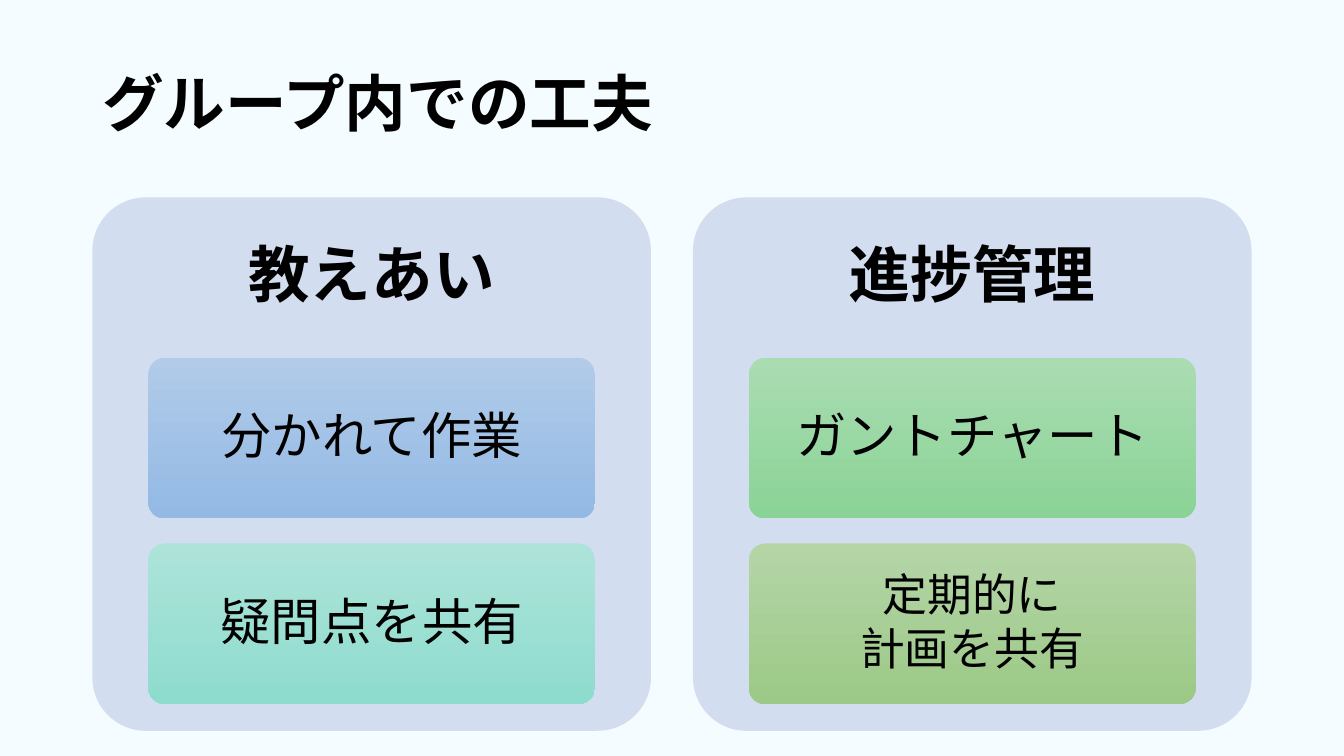
from lxml.etree import SubElement
from pptx import Presentation
from pptx.dml.color import RGBColor
from pptx.enum.shapes import MSO_SHAPE
from pptx.enum.text import MSO_ANCHOR, PP_ALIGN
from pptx.oxml.ns import qn
from pptx.util import Pt

TITLE = "グループ内での工夫"
PANELS = [
    ("教えあい", [
        {"lines": ["分かれて作業"], "size": "card", "gradient": ("B1CBE9", "93B9E4")},
        {"lines": ["疑問点を共有"], "size": "card", "gradient": ("ADE3D9", "8EDCCE")},
    ]),
    ("進捗管理", [
        {"lines": ["ガントチャート"], "size": "card", "gradient": ("AADCB2", "8AD396")},
        {"lines": ["定期的に", "計画を共有"], "size": "small", "gradient": ("B5D5A7", "9CC987")},
    ]),
]

THEME = {
    "background": "F5FCFF", "panel": "D2DEEF", "text": "000000",
    "latin": "Arial", "japanese": "Noto Sans CJK JP",
    "heading": 44, "card": 36, "small": 32,
}

SLIDE_WIDTH, SLIDE_HEIGHT = 960, 540
MARGIN, TITLE_TOP, TITLE_HEIGHT = 66, 24, 104.4
PANEL_TOP, PANEL_WIDTH, PANEL_HEIGHT, PANEL_GAP = 141, 399, 381, 30
HEADING_HEIGHT = 114.6
CARD_INSET, CARD_HEIGHT, CARD_GAP = 40, 114.6, 18
CORNER = 0.1


def color(name):
    return RGBColor.from_string(name)


def write(shape, lines, size, font_name, bold=False, alignment=PP_ALIGN.CENTER):
    frame = shape.text_frame
    frame.word_wrap = True
    frame.vertical_anchor = MSO_ANCHOR.MIDDLE
    for index, line in enumerate(lines):
        paragraph = frame.paragraphs[0] if index == 0 else frame.add_paragraph()
        paragraph_format = {"alignment": alignment, "line_spacing": 0.9, "space_after": Pt(4)}
        for key, value in paragraph_format.items():
            setattr(paragraph, key, value)
        run = paragraph.add_run()
        run.text = line
        for key, value in {"size": Pt(size), "bold": bold, "name": font_name}.items():
            setattr(run.font, key, value)
        run.font.color.rgb = color(THEME["text"])
        east_asian = SubElement(run.font._element, qn("a:ea"))
        east_asian.set("typeface", THEME["japanese"])


def add_text(slide, box, lines, **text_format):
    write(slide.shapes.add_textbox(*map(Pt, box)), lines, **text_format)


def add_rounded(slide, box):
    shape = slide.shapes.add_shape(MSO_SHAPE.ROUNDED_RECTANGLE, *map(Pt, box))
    shape.adjustments[0] = CORNER
    shape.shadow.inherit = False
    shape.line.fill.background()
    return shape


def add_card(slide, box, card):
    shape = add_rounded(slide, box)
    shape.fill.gradient()
    shape.fill.gradient_angle = 270
    for stop, stop_color in zip(shape.fill.gradient_stops, card["gradient"]):
        stop.color.rgb = color(stop_color)
    write(shape, card["lines"], THEME[card["size"]], THEME["japanese"])


def add_panel(slide, left, heading, cards):
    panel = add_rounded(slide, (left, PANEL_TOP, PANEL_WIDTH, PANEL_HEIGHT))
    panel.fill.solid()
    panel.fill.fore_color.rgb = color(THEME["panel"])
    add_text(slide, (left, PANEL_TOP, PANEL_WIDTH, HEADING_HEIGHT), [heading],
             size=THEME["heading"], font_name=THEME["japanese"], bold=True)
    for row, card in enumerate(cards):
        top = PANEL_TOP + HEADING_HEIGHT + row * (CARD_HEIGHT + CARD_GAP)
        add_card(slide, (left + CARD_INSET, top, PANEL_WIDTH - 2 * CARD_INSET, CARD_HEIGHT), card)


def main():
    presentation = Presentation()
    presentation.slide_width, presentation.slide_height = Pt(SLIDE_WIDTH), Pt(SLIDE_HEIGHT)
    slide = presentation.slides.add_slide(presentation.slide_layouts[6])
    slide.background.fill.solid()
    slide.background.fill.fore_color.rgb = color(THEME["background"])
    add_text(slide, (MARGIN, TITLE_TOP, SLIDE_WIDTH - 2 * MARGIN, TITLE_HEIGHT), [TITLE],
             size=THEME["heading"], font_name=THEME["latin"], bold=True,
             alignment=PP_ALIGN.LEFT)
    for column, (heading, cards) in enumerate(PANELS):
        add_panel(slide, MARGIN + column * (PANEL_WIDTH + PANEL_GAP), heading, cards)
    presentation.save("out.pptx")


if __name__ == "__main__":
    main()
